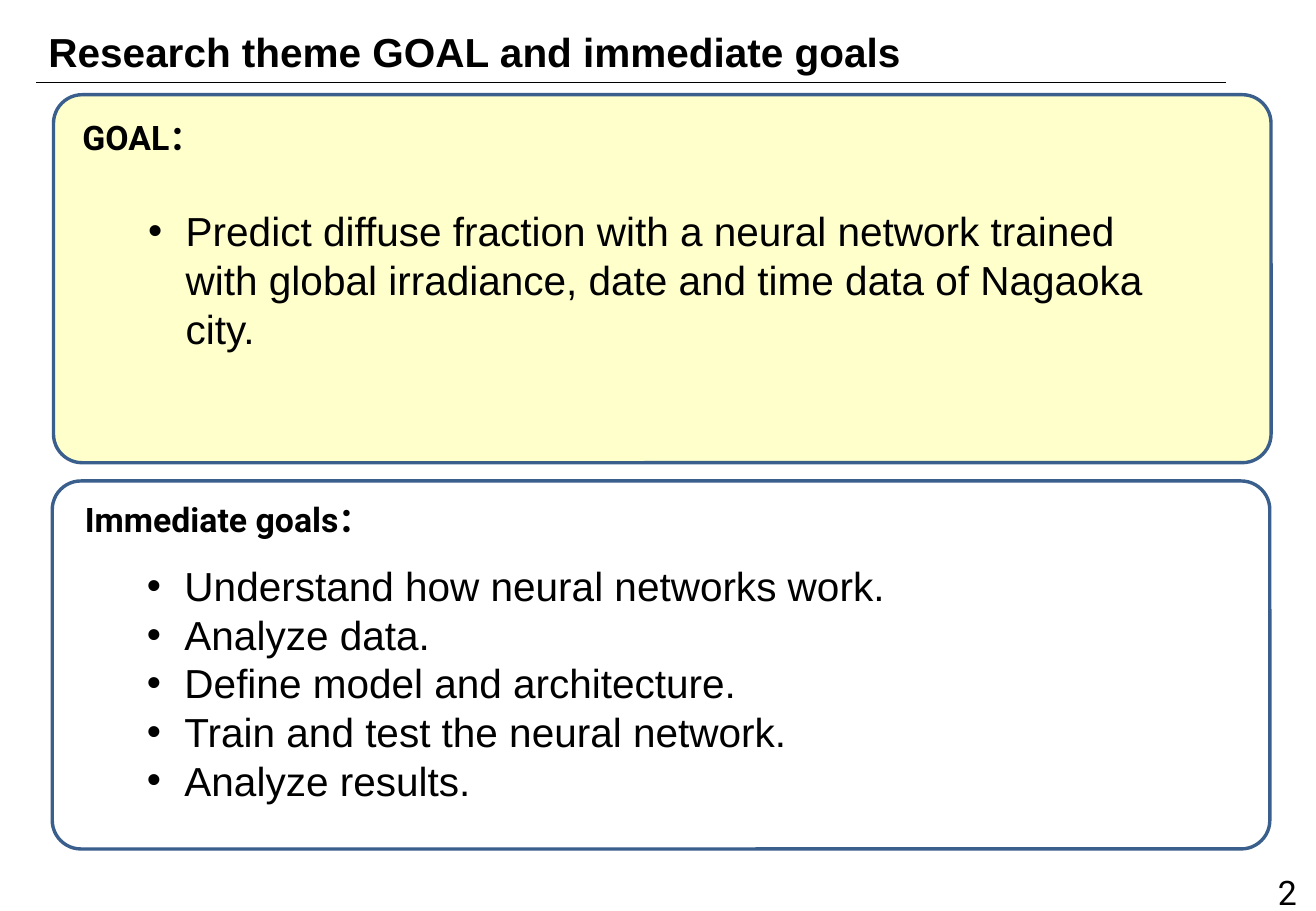
from lxml.etree import SubElement
from pptx import Presentation
from pptx.dml.color import RGBColor
from pptx.enum.shapes import MSO_CONNECTOR as CONN, MSO_SHAPE as SHAPE
from pptx.enum.text import MSO_ANCHOR as ANCHOR, PP_ALIGN as ALIGN
from pptx.oxml.ns import qn
from pptx.util import Inches, Pt

COLORS = {"text": "000000", "border": "3A5F8C", "goal": "FFFFCC", "plain": "FFFFFF"}
PANEL_W, PANEL_H = 10.02, 3.03


def rgb(name):
    """Return the named palette colour."""
    return RGBColor.from_string(COLORS[name])


def add_text(slide, box, lines, size, font, bold=False, align=ALIGN.LEFT,
             anchor=ANCHOR.MIDDLE, bullets=False):
    """Add a text box with one paragraph per line."""
    sp = slide.shapes.add_textbox(*map(Inches, box))
    tf = sp.text_frame
    tf.word_wrap = True
    tf.vertical_anchor = anchor
    for i, line in enumerate(lines):
        p = tf.paragraphs[0] if i == 0 else tf.add_paragraph()
        p.alignment = align
        if bullets:
            pPr = p._p.get_or_add_pPr()
            pPr.set("marL", str(Inches(0.31)))
            pPr.set("indent", str(Inches(-0.31)))
            SubElement(pPr, qn("a:buFont")).set("typeface", "Arial")
            SubElement(pPr, qn("a:buChar")).set("char", "•")
        r = p.add_run()
        r.text = line
        r.font.size = Pt(size)
        r.font.name = font
        r.font.bold = bold
        r.font.color.rgb = rgb("text")


def add_header(slide, left, top, title):
    """Add the slide title and the rule under it."""
    add_text(slide, (left, top, 7.72, 0.6), [title], 24, "Arial", bold=True)
    y = Inches(top + 0.56)
    rule = slide.shapes.add_connector(CONN.STRAIGHT, Inches(left), y, Inches(left + 9.79), y)
    rule.line.color.rgb = rgb("text")
    rule.line.width = Pt(0.75)
    SubElement(rule._element.spPr, qn("a:effectLst"))


def add_panel(slide, left, top, fill, heading, heading_at, items, items_dy):
    """Add a rounded panel with a heading and a bullet list."""
    sp = slide.shapes.add_shape(SHAPE.ROUNDED_RECTANGLE,
                                *map(Inches, (left, top, PANEL_W, PANEL_H)))
    sp.adjustments[0] = 0.078
    sp.shadow.inherit = False
    sp.fill.solid()
    sp.fill.fore_color.rgb = rgb(fill)
    sp.line.color.rgb = rgb("border")
    sp.line.width = Pt(2)
    dx, dy = heading_at
    add_text(slide, (left + dx, top + dy, 4, 0.44), [heading], 20, "Roboto",
             bold=True, anchor=ANCHOR.TOP)
    add_text(slide, (left + 0.68, top + items_dy, 8.61, 2.18), items, 24, "Arial",
             bullets=True)


def add_page_number(slide, left, top, number):
    """Add the page number at the right of its box."""
    add_text(slide, (left, top, 2.53, 0.4), [number], 20, "Roboto", align=ALIGN.RIGHT)


def main():
    """Build the slide and save it."""
    prs = Presentation()
    prs.slide_width, prs.slide_height = Inches(10.83), Inches(7.5)
    slide = prs.slides.add_slide(prs.slide_layouts[6])
    add_header(slide, 0.3, 0.12, "Research theme GOAL and immediate goals")
    add_panel(slide, 0.44, 0.78, "goal", "GOAL：", (0.14, 0.13), [
        "Predict diffuse fraction with a neural network trained with global "
        "irradiance, date and time data of Nagaoka city.",
    ], 0.43)
    add_panel(slide, 0.43, 3.96, "plain", "Immediate goals：", (0.17, 0.1), [
        "Understand how neural networks work.",
        "Analyze data.",
        "Define model and architecture.",
        "Train and test the neural network.",
        "Analyze results.",
    ], 0.57)
    add_page_number(slide, 8.24, 7.14, "2")
    prs.save("out.pptx")


if __name__ == "__main__":
    main()
